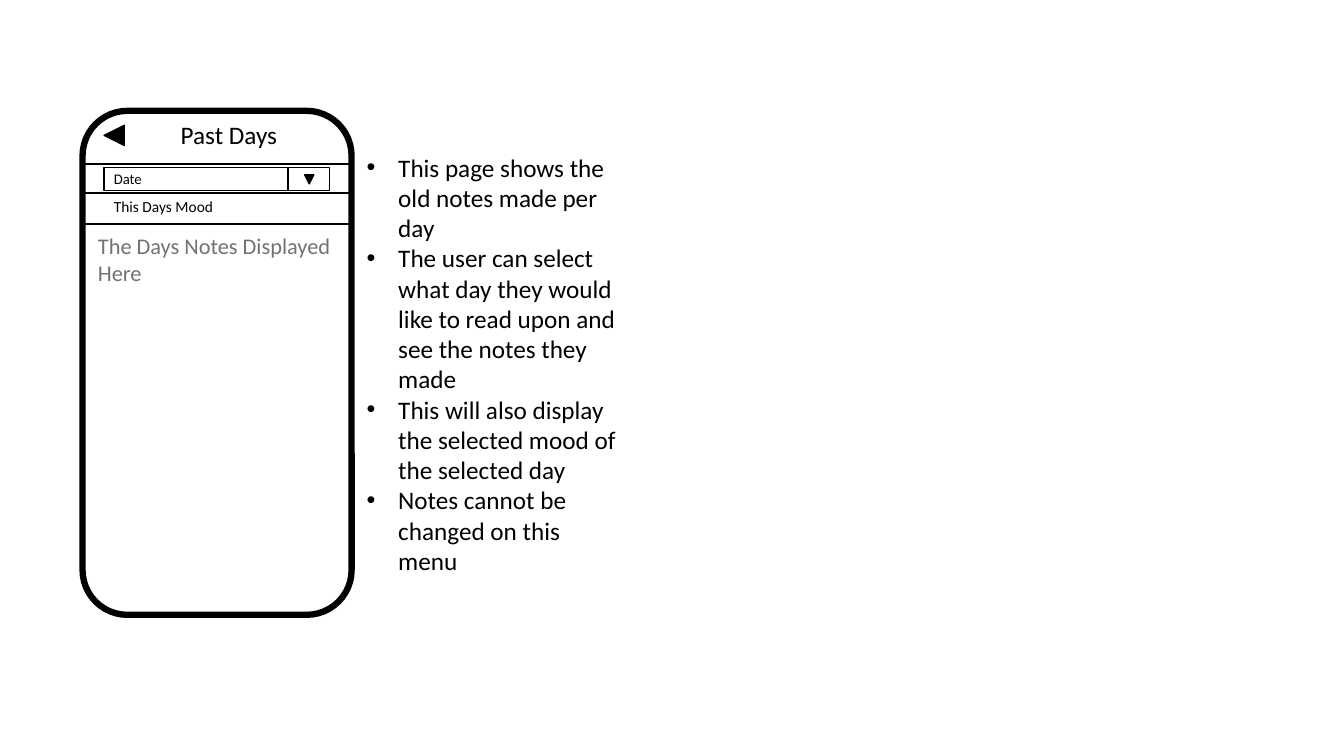
from dataclasses import dataclass

from lxml.etree import SubElement
from pptx import Presentation
from pptx.dml.color import RGBColor
from pptx.enum.shapes import MSO_CONNECTOR as Connector, MSO_SHAPE as Shape
from pptx.enum.text import MSO_AUTO_SIZE as AutoSize, PP_ALIGN as Align
from pptx.oxml.ns import qn
from pptx.slide import Slide
from pptx.util import Pt

COLORS = {"ink": "000000", "paper": "FFFFFF", "hint": "767171"}
FONT = "Calibri"
BULLET_INDENT = Pt(22.5)
PHONE_LEFT, PHONE_TOP, PHONE_WIDTH, PHONE_HEIGHT = 59, 79.2, 192.2, 360
PHONE_RIGHT = PHONE_LEFT + PHONE_WIDTH
FIELD_LEFT, FIELD_TOP, FIELD_WIDTH, FIELD_HEIGHT = 74.2, 119.5, 161.3, 16.6
ARROW_DIVIDER = 205.9


@dataclass
class Figure:
    kind: Shape
    left: float
    top: float
    width: float
    height: float
    fill: str
    line_width: float = 1
    rotation: float = 0


@dataclass
class Rule:
    x1: float
    y1: float
    x2: float
    y2: float


@dataclass
class Label:
    lines: tuple[str, ...]
    left: float
    top: float
    width: float
    height: float
    size: float
    color: str = "ink"
    wrap: bool = False
    bulleted: bool = False


FIGURES = [
    Figure(Shape.ROUNDED_RECTANGLE, PHONE_LEFT, PHONE_TOP, PHONE_WIDTH, PHONE_HEIGHT, "paper", 4.5),
    Figure(Shape.ISOSCELES_TRIANGLE, 74.4, 89.5, 14.4, 14.4, "ink", rotation=270),
    Figure(Shape.RECTANGLE, FIELD_LEFT, FIELD_TOP, FIELD_WIDTH, FIELD_HEIGHT, "paper"),
    Figure(Shape.ISOSCELES_TRIANGLE, 217.6, 124.8, 6.5, 6.5, "ink", rotation=180),
]

RULES = [Rule(PHONE_LEFT, y, PHONE_RIGHT, y) for y in (116.9, 137.8, 160.1)]
RULES.append(Rule(ARROW_DIVIDER, FIELD_TOP, ARROW_DIVIDER, FIELD_TOP + FIELD_HEIGHT))

LABELS = [
    Label(("Past Days",), 122, 81.4, 84, 29, 18),
    Label(("This Days Mood",), 74.2, 137, 85.7, 20.6, 11),
    Label(("Date",), 74.2, 117.7, 35.3, 20, 10.5),
    Label(("The Days Notes Displayed", "Here"), 62.9, 162.2, 181.4, 46, 16, "hint", True),
    Label(
        (
            "This page shows the old notes made per day",
            "The user can select what day they would like to read upon and see the notes they made",
            "This will also display the selected mood of the selected day",
            "Notes cannot be changed on this menu",
        ),
        254.9, 105.1, 192.2, 312.5, 18, wrap=True, bulleted=True,
    ),
]


def color(name: str) -> RGBColor:
    return RGBColor.from_string(COLORS[name])


def draw_figure(page: Slide, figure: Figure) -> None:
    shape = page.shapes.add_shape(
        figure.kind, Pt(figure.left), Pt(figure.top), Pt(figure.width), Pt(figure.height)
    )
    shape.shadow.inherit = False
    shape.rotation = figure.rotation
    shape.fill.solid()
    shape.fill.fore_color.rgb = color(figure.fill)
    shape.line.color.rgb = color("ink")
    shape.line.width = Pt(figure.line_width)


def draw_rule(page: Slide, rule: Rule) -> None:
    line = page.shapes.add_connector(
        Connector.STRAIGHT, Pt(rule.x1), Pt(rule.y1), Pt(rule.x2), Pt(rule.y2)
    )
    line.line.color.rgb = color("ink")
    line.line.width = Pt(1.5)
    SubElement(line._element.spPr, qn("a:effectLst"))


def draw_label(page: Slide, label: Label) -> None:
    box = page.shapes.add_textbox(
        Pt(label.left), Pt(label.top), Pt(label.width), Pt(label.height)
    )
    frame = box.text_frame
    frame.text = "\n".join(label.lines)
    frame.word_wrap = label.wrap
    frame.auto_size = AutoSize.SHAPE_TO_FIT_TEXT
    for para in frame.paragraphs:
        para.alignment = Align.LEFT
        if label.bulleted:
            properties = para._p.get_or_add_pPr()
            properties.set("marL", str(BULLET_INDENT))
            properties.set("indent", str(-BULLET_INDENT))
            SubElement(properties, qn("a:buFont"), typeface="Arial")
            SubElement(properties, qn("a:buChar"), char="•")
        for span in para.runs:
            span.font.name = FONT
            span.font.size = Pt(label.size)
            span.font.color.rgb = color(label.color)


def main() -> None:
    deck = Presentation()
    deck.slide_width, deck.slide_height = Pt(960), Pt(540)
    page = deck.slides.add_slide(deck.slide_layouts[6])
    for figure in FIGURES:
        draw_figure(page, figure)
    for rule in RULES:
        draw_rule(page, rule)
    for label in LABELS:
        draw_label(page, label)
    deck.save("out.pptx")


if __name__ == "__main__":
    main()
